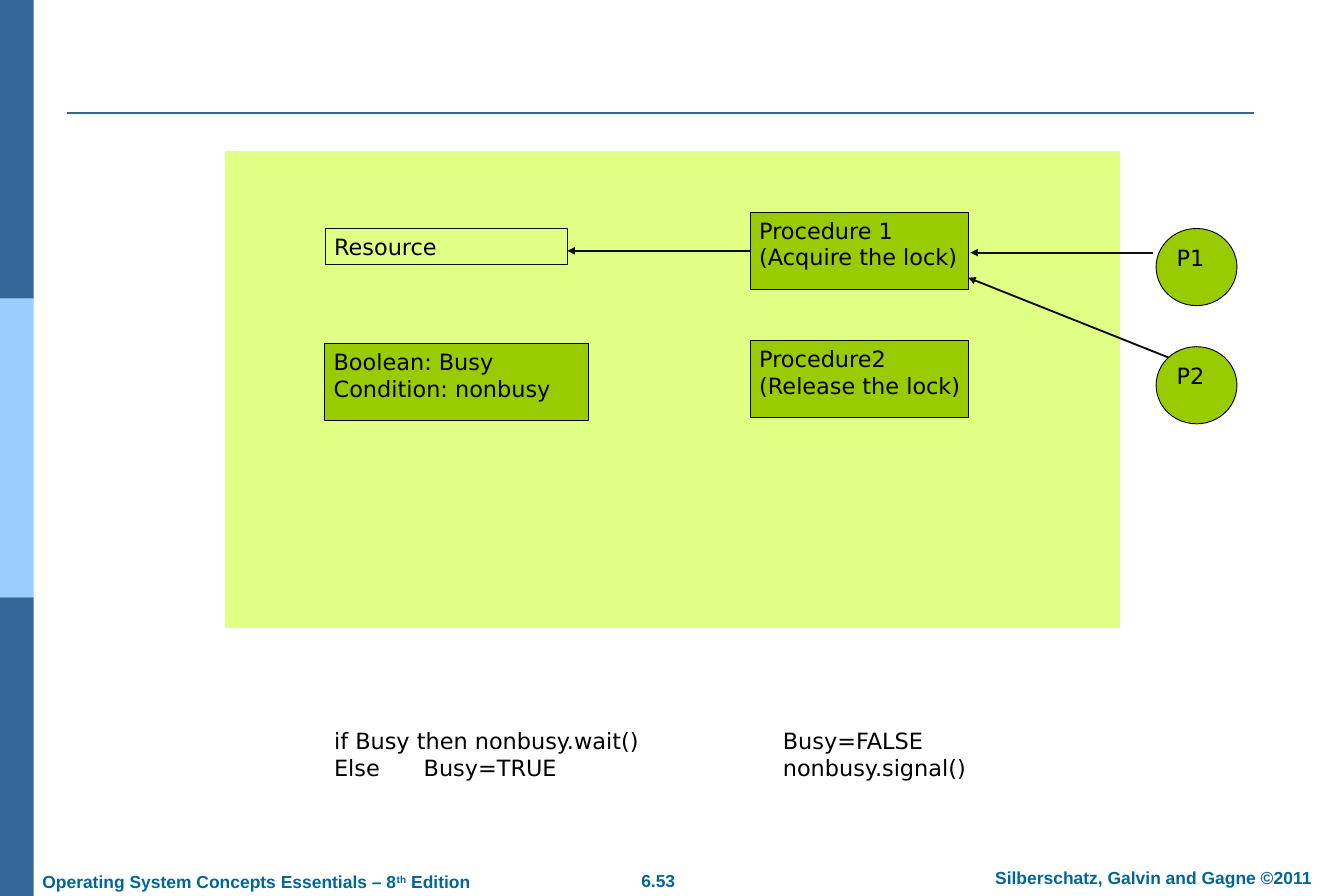
from lxml.etree import SubElement
from pptx import Presentation
from pptx.dml.color import RGBColor
from pptx.enum.shapes import MSO_CONNECTOR as Connector, MSO_SHAPE as Shape
from pptx.enum.text import MSO_ANCHOR as Anchor, PP_ALIGN as Align
from pptx.oxml.ns import qn
from pptx.util import Pt

COLORS = {
    "band": "336699",
    "band_light": "99CCFF",
    "footer": "006699",
    "monitor": "E0FF85",
    "node": "99CC00",
    "ink": "000000",
    "arrow": "0D0D0D",
    "border": "FFFFFF",
}
BODY = {"name": "DejaVu Sans", "size": Pt(18), "bold": False}
FOOTER = {"name": "Arial", "size": Pt(14), "bold": True}
BODY_FRAME = {
    "margin_left": Pt(7.2), "margin_right": Pt(7.2),
    "margin_top": Pt(3.6), "margin_bottom": Pt(3.6),
    "vertical_anchor": Anchor.TOP, "word_wrap": False,
}
FOOTER_FRAME = {
    **BODY_FRAME,
    "margin_left": Pt(10), "margin_right": Pt(10),
    "margin_top": Pt(5), "margin_bottom": Pt(5),
}


def rgb(color):
    return RGBColor.from_string(COLORS[color])


def apply(target, values):
    for key, value in values.items():
        setattr(target, key, value)


def add_run(paragraph, words, font, color):
    run = paragraph.add_run()
    run.text = words
    apply(run.font, font)
    run.font.color.rgb = rgb(color)
    return run


def write_lines(frame, lines):
    apply(frame, BODY_FRAME)
    for number, line in enumerate(lines):
        paragraph = frame.add_paragraph() if number else frame.paragraphs[0]
        paragraph.alignment = Align.LEFT
        add_run(paragraph, line, BODY, "ink")


def add_shape(slide, preset, place, fill=None, outline=None, lines=()):
    shape = slide.shapes.add_shape(preset, *map(Pt, place))
    shape.shadow.inherit = False
    if fill:
        shape.fill.solid()
        shape.fill.fore_color.rgb = rgb(fill)
    else:
        shape.fill.background()
    if outline:
        shape.line.color.rgb = rgb(outline)
        shape.line.width = Pt(0.75)
    else:
        shape.line.fill.background()
    write_lines(shape.text_frame, lines)


def add_line(slide, start, end, color, arrow=True):
    line = slide.shapes.add_connector(Connector.STRAIGHT, *map(Pt, start + end))
    line.line.color.rgb = rgb(color)
    line.line.width = Pt(1.5)
    if arrow:
        SubElement(line.line._get_or_add_ln(), qn("a:tailEnd"), type="triangle")
    SubElement(line._element.spPr, qn("a:effectLst"))


def add_code(slide, place, lines):
    code = slide.shapes.add_textbox(*map(Pt, place))
    write_lines(code.text_frame, lines)
    code.text_frame.word_wrap = True


def add_footer(slide, place, parts, align, wrap=False):
    frame = slide.shapes.add_textbox(*map(Pt, place)).text_frame
    apply(frame, {**FOOTER_FRAME, "word_wrap": wrap})
    paragraph = frame.paragraphs[0]
    paragraph.alignment = align
    for words, raised in parts:
        run = add_run(paragraph, words, FOOTER, "footer")
        if raised:
            run.font._element.set("baseline", "30000")


def add_monitor(slide, place):
    monitor = slide.shapes.add_table(1, 1, *map(Pt, place)).table
    apply(monitor, {"first_row": False, "horz_banding": False})
    cell = monitor.cell(0, 0)
    properties = cell._tc.get_or_add_tcPr()
    for side, width in (("L", 0.45), ("R", 0.45), ("T", 0.45), ("B", 1.47)):
        border = SubElement(properties, qn(f"a:ln{side}"), w=str(Pt(width)))
        fill = SubElement(border, qn("a:solidFill"))
        SubElement(fill, qn("a:srgbClr"), val=COLORS["border"])
    cell.fill.solid()
    cell.fill.fore_color.rgb = rgb("monitor")


def add_frame(slide):
    for row, color in enumerate(("band", "band_light", "band")):
        add_shape(slide, Shape.RECTANGLE, (0, row * 240, 27, 240), color)
    add_line(slide, (54, 90.5), (1008, 90.5), "band", arrow=False)
    add_footer(slide, (479, 694, 100, 27.4), [("6.53", False)], Align.CENTER)
    add_footer(slide, (767, 692, 320, 27.4),
               [("Silberschatz, Galvin and Gagne ©2011", False)], Align.CENTER, True)
    add_footer(slide, (24, 695, 364, 27.4),
               [("Operating System Concepts Essentials – 8", False),
                ("th", True), (" Edition", False)], Align.LEFT)


def main():
    deck = Presentation()
    apply(deck, {"slide_width": Pt(1080), "slide_height": Pt(720)})
    slide = deck.slides.add_slide(deck.slide_layouts[6])
    add_frame(slide)
    add_monitor(slide, (180, 120.5, 720, 385))

    add_shape(slide, Shape.RECTANGLE, (261.4, 183.5, 195, 29),
              outline="arrow", lines=["Resource"])
    nodes = [
        (Shape.RECTANGLE, (261, 276, 212, 62), ["Boolean: Busy", "Condition: nonbusy"]),
        (Shape.RECTANGLE, (603, 170.6, 175, 62), ["Procedure 1", "(Acquire the lock)"]),
        (Shape.RECTANGLE, (603, 273.6, 175, 62), ["Procedure2", "(Release the lock)"]),
        (Shape.OVAL, (929, 183.6, 65, 62), ["P1"]),
        (Shape.OVAL, (929, 278.6, 65, 62), ["P2"]),
    ]
    for preset, place, lines in nodes:
        add_shape(slide, preset, place, "node", "ink", lines)

    for start, end in (
        ((603, 201.6), (456, 201.6)),
        ((926.6, 203), (779.8, 203)),
        ((939, 287.3), (778, 223.2)),
    ):
        add_line(slide, start, end, "arrow")

    add_code(slide, (261.4, 581, 268.6, 50.4),
             ["if Busy then nonbusy.wait()", "Else\tBusy=TRUE"])
    add_code(slide, (622, 581, 268.6, 50.4), ["Busy=FALSE", "nonbusy.signal()"])
    deck.save("out.pptx")


if __name__ == "__main__":
    main()
